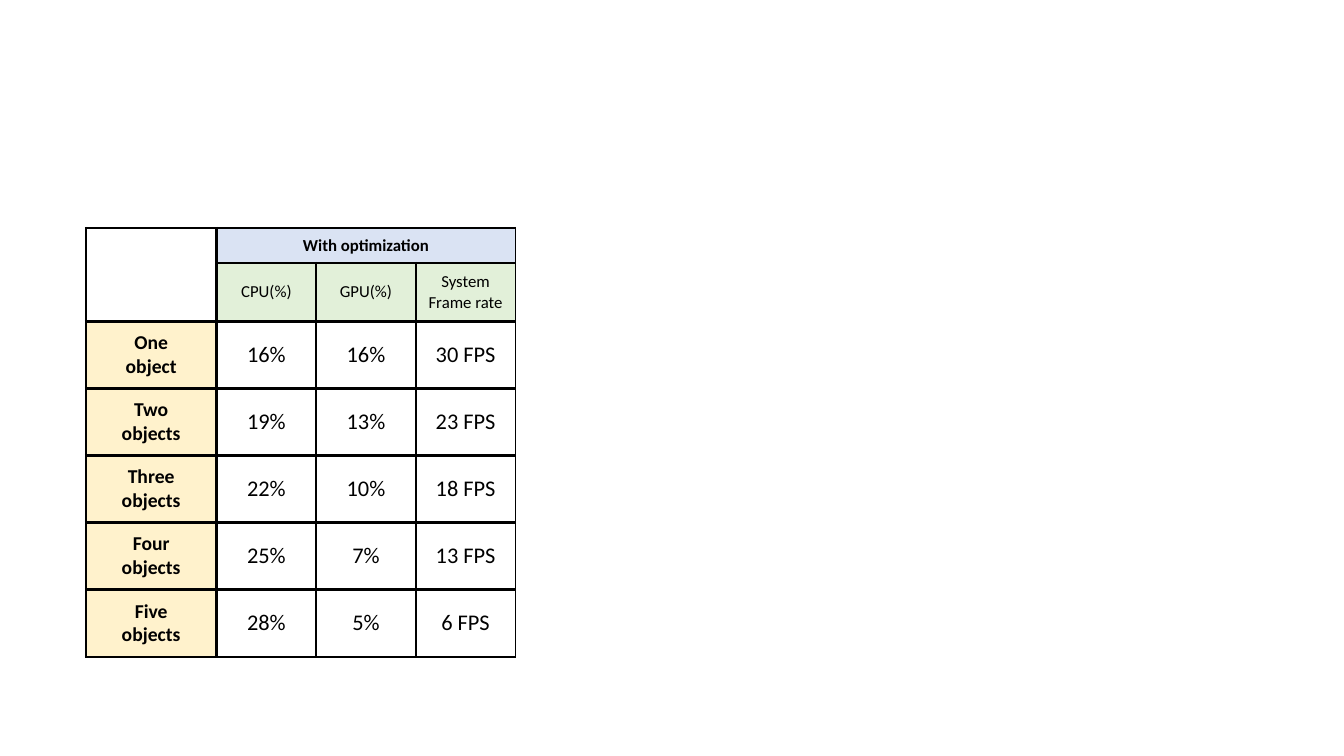
from dataclasses import dataclass

from lxml.etree import SubElement
from pptx import Presentation
from pptx.dml.color import RGBColor
from pptx.enum.text import MSO_ANCHOR, PP_ALIGN
from pptx.oxml.ns import qn
from pptx.table import _Cell
from pptx.util import Cm, Pt

COLORS = {
    "black": "000000",
    "white": "FFFFFF",
    "heading": "DAE3F3",
    "metric": "E2F0D9",
    "count": "FFF2CC",
}
FONT = "Calibri"

COL_WIDTHS = [3.3, 2.51, 2.51, 2.51]
ROW_HEIGHTS = [0.89, 1.47] + [1.69] * 5

# Line weights in points, from the first grid line to the last
VERTICAL_LINES = [1.5, 2.25, 1.5, 1.5, 1]
HORIZONTAL_LINES = [1.5] + [2.25] * 6 + [1.5]

METRICS = ["CPU(%)", "GPU(%)", "System\nFrame rate"]
RESULTS = [
    ("One\nobject", "16%", "16%", "30 FPS"),
    ("Two\nobjects", "19%", "13%", "23 FPS"),
    ("Three\nobjects", "22%", "10%", "18 FPS"),
    ("Four\nobjects", "25%", "7%", "13 FPS"),
    ("Five\nobjects", "28%", "5%", "6 FPS"),
]


@dataclass(frozen=True)
class CellStyle:
    fill: str
    size: int
    bold: bool = False


CORNER = CellStyle("white", 12)
HEADING = CellStyle("heading", 12, bold=True)
METRIC = CellStyle("metric", 12)
COUNT = CellStyle("count", 14, bold=True)
VALUE = CellStyle("white", 16)


@dataclass(frozen=True)
class Entry:
    row: int
    col: int
    text: str
    style: CellStyle
    rows: int = 1
    cols: int = 1


def table_entries() -> list[Entry]:
    entries = [
        Entry(0, 0, "", CORNER, rows=2),
        Entry(0, 1, "With optimization", HEADING, cols=3),
    ]
    entries += [Entry(1, col, text, METRIC) for col, text in enumerate(METRICS, 1)]
    for row, result in enumerate(RESULTS, 2):
        for col, text in enumerate(result):
            entries.append(Entry(row, col, text, VALUE if col else COUNT))
    return entries


def set_borders(cell: _Cell, entry: Entry) -> None:
    """Draw the four grid lines around the entry, ahead of the cell's fill."""
    weights = {
        "a:lnL": VERTICAL_LINES[entry.col],
        "a:lnR": VERTICAL_LINES[entry.col + entry.cols],
        "a:lnT": HORIZONTAL_LINES[entry.row],
        "a:lnB": HORIZONTAL_LINES[entry.row + entry.rows],
    }
    tc_pr = cell._tc.get_or_add_tcPr()
    for index, (tag, weight) in enumerate(weights.items()):
        ln = SubElement(tc_pr, qn(tag), w=str(Pt(weight)))
        fill = SubElement(ln, qn("a:solidFill"))
        SubElement(fill, qn("a:srgbClr"), val=COLORS["black"])
        tc_pr.insert(index, ln)


def fill_cell(cell: _Cell, entry: Entry) -> None:
    style = entry.style
    cell.fill.solid()
    cell.fill.fore_color.rgb = RGBColor.from_string(COLORS[style.fill])
    set_borders(cell, entry)
    cell.vertical_anchor = MSO_ANCHOR.MIDDLE
    tf = cell.text_frame
    tf.text = entry.text
    for p in tf.paragraphs:
        p.alignment = PP_ALIGN.CENTER
        for r in p.runs:
            r.font.name = FONT
            r.font.size = Pt(style.size)
            r.font.bold = style.bold
            r.font.color.rgb = RGBColor.from_string(COLORS["black"])


def main() -> None:
    prs = Presentation()
    prs.slide_width, prs.slide_height = Cm(33.87), Cm(19.05)
    s = prs.slides.add_slide(prs.slide_layouts[6])

    table = s.shapes.add_table(
        len(ROW_HEIGHTS), len(COL_WIDTHS), Cm(2.16), Cm(5.74),
        Cm(sum(COL_WIDTHS)), Cm(sum(ROW_HEIGHTS)),
    ).table
    table.first_row = table.horz_banding = False
    for column, width in zip(table.columns, COL_WIDTHS):
        column.width = Cm(width)
    for row, height in zip(table.rows, ROW_HEIGHTS):
        row.height = Cm(height)
    for cell in table.iter_cells():
        cell.margin_left = cell.margin_right = Cm(0.18)
        cell.margin_top = cell.margin_bottom = 0

    for entry in table_entries():
        cell = table.cell(entry.row, entry.col)
        if entry.rows > 1 or entry.cols > 1:
            cell.merge(table.cell(entry.row + entry.rows - 1, entry.col + entry.cols - 1))
        fill_cell(cell, entry)

    prs.save("out.pptx")


if __name__ == "__main__":
    main()
